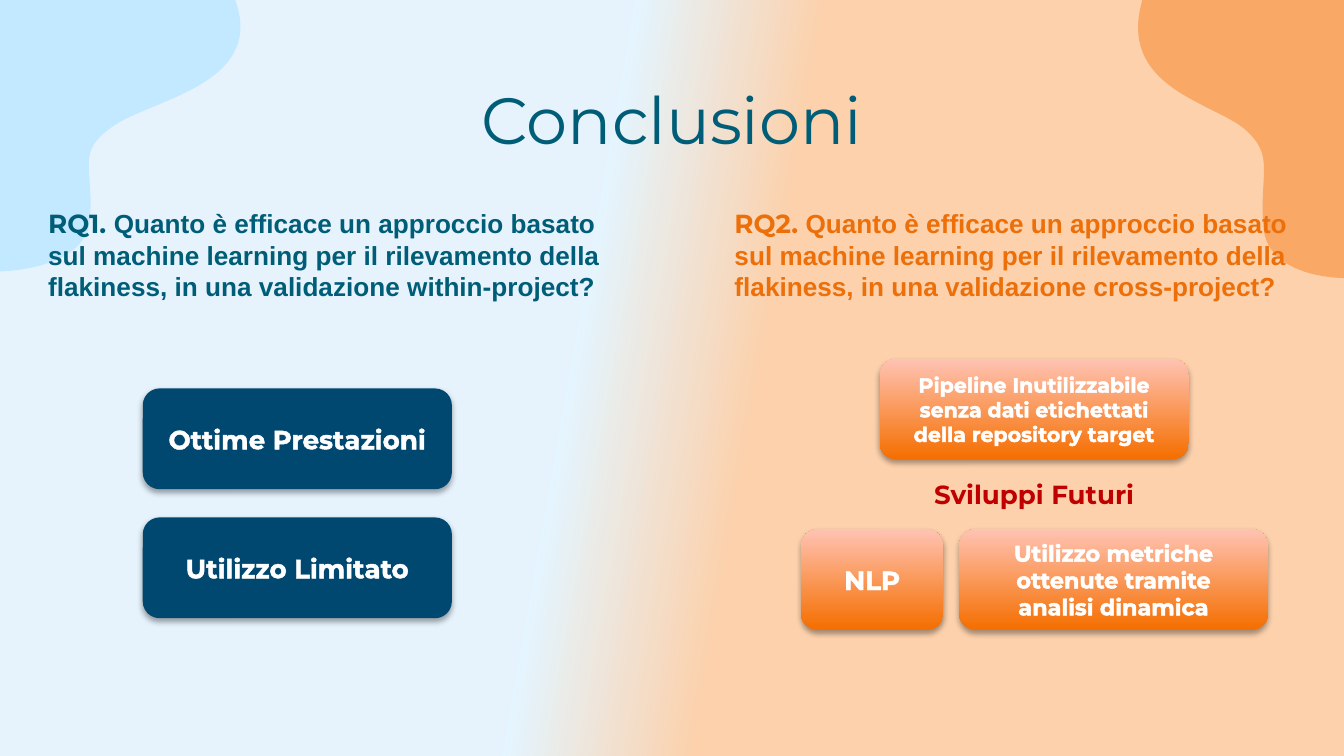
from lxml import etree
from pptx import Presentation
from pptx.dml.color import RGBColor
from pptx.enum.shapes import MSO_SHAPE
from pptx.enum.text import MSO_ANCHOR, MSO_AUTO_SIZE, PP_ALIGN
from pptx.oxml.ns import qn
from pptx.util import Pt

ROUNDED = MSO_SHAPE.ROUNDED_RECTANGLE
MIDDLE, TOP = MSO_ANCHOR.MIDDLE, MSO_ANCHOR.TOP
CENTER, LEFT = PP_ALIGN.CENTER, PP_ALIGN.LEFT
GROW, FIXED = MSO_AUTO_SIZE.SHAPE_TO_FIT_TEXT, MSO_AUTO_SIZE.NONE

WIDTH, HEIGHT = 720, 405
TEAL, NAVY, ORANGE, RED, WHITE = "005D77", "004870", "EC6F09", "C00000", "FFFFFF"
BACKDROP = [(8, "E6F3FD", 100), (43, "E4F5FF", 82), (56, "FCD1AC", 100), (94, "FCD1AC", 100)]
SUNSET = [(0, "F56E00", 100), (100, "FFC3B3", 100)]

BLOBS = [
    ("C2E9FF", (0, 0), (0, 145.4), [
        ((0.7, 145.4), (46.1, 144.7), (48.2, 117.4)),
        ((50.4, 89.3), (40.3, 81.4), (60.5, 67.7)),
        ((80.6, 53.3), (142.6, 45.4), (126, 0))]),
    ("F9A866", (720, 0), (720, 149), [
        ((719.3, 149), (678.2, 149), (676.8, 121)),
        ((674.6, 92.2), (683.3, 83.5), (666.7, 69.1)),
        ((649.4, 54.7), (598.3, 46.8), (612, 0))]),
]

QUESTION = ("Quanto è efficace un approccio basato sul machine learning per il "
            "rilevamento della flakiness, in una validazione {}-project?")
QUESTIONS = [("RQ1. ", "within", 18.7, TEAL), ("RQ2. ", "cross", 386.4, ORANGE)]

CARD_HEIGHT, CARD_WIDTH = 54, 165.6
CARDS = [
    ("Ottime Prestazioni", 14, 76.5, 208.1, CARD_WIDTH, NAVY),
    ("Utilizzo Limitato", 14, 76.5, 277.2, CARD_WIDTH, NAVY),
    ("Pipeline Inutilizzabile senza dati etichettati della repository target",
     11, 471.3, 192.2, CARD_WIDTH, SUNSET),
    ("NLP", 14, 429.1, 283.5, 76.3, SUNSET),
    ("Utilizzo metriche ottenute tramite analisi dinamica",
     12, 513.8, 283.5, CARD_WIDTH, SUNSET),
]


def color(value):
    return RGBColor.from_string(value)


def add_node(parent, tag, **attributes):
    node = etree.SubElement(parent, qn(tag))
    for name, value in attributes.items():
        node.set(name, str(value))
    return node


def add_color(parent, value, opacity=100):
    node = add_node(parent, "a:srgbClr", val=value)
    if opacity < 100:
        add_node(node, "a:alpha", val=opacity * 1000)


def set_gradient(properties, stops, angle):
    solid = properties.find(qn("a:solidFill"))
    gradient = etree.Element(qn("a:gradFill"), rotWithShape="1")
    stop_list = add_node(gradient, "a:gsLst")
    for position, value, opacity in stops:
        add_color(add_node(stop_list, "a:gs", pos=position * 1000), value, opacity)
    add_node(gradient, "a:lin", ang=angle * 60000, scaled=0)
    properties.replace(solid, gradient)


def paint(shape, value):
    shape.shadow.inherit = False
    shape.fill.solid()
    shape.fill.fore_color.rgb = color(value)
    shape.line.fill.background()


def write(frame, runs, align, **settings):
    for name, value in settings.items():
        setattr(frame, name, value)
    paragraph = frame.paragraphs[0]
    paragraph.alignment = align
    for text, font_name, size, bold, value in runs:
        run = paragraph.add_run()
        run.text = text
        for name, setting in {"name": font_name, "size": Pt(size), "bold": bold}.items():
            setattr(run.font, name, setting)
        run.font.color.rgb = color(value)
    return paragraph


def add_text(slide, box, runs, align, **settings):
    frame = slide.shapes.add_textbox(*map(Pt, box)).text_frame
    write(frame, runs, align, vertical_anchor=TOP, **settings)


def add_blob(slide, value, corner, start, curves):
    points = [start] + [point for curve in curves for point in curve]
    builder = slide.shapes.build_freeform(*map(Pt, corner), scale=1.0)
    builder.add_line_segments([(Pt(x), Pt(y)) for x, y in points], close=True)
    blob = builder.convert_to_shape()
    paint(blob, value)
    segments = list(blob.element.iter(qn("a:lnTo")))[1:]
    for first in range(0, len(segments), 3):
        curve = etree.Element(qn("a:cubicBezTo"))
        segments[first].addprevious(curve)
        for segment in segments[first:first + 3]:
            curve.append(segment[0])
            segment.getparent().remove(segment)


def add_card(slide, text, size, left, top, width, fill):
    card = slide.shapes.add_shape(ROUNDED, *map(Pt, (left, top, width, CARD_HEIGHT)))
    paint(card, NAVY)
    properties = card.element.spPr
    if fill is SUNSET:
        set_gradient(properties, SUNSET, 270)
    shadow = add_node(properties.find(qn("a:effectLst")), "a:outerShdw", blurRad=Pt(3.1),
                      dist=Pt(1.8), dir=90 * 60000, rotWithShape=0)
    add_color(shadow, "000000", 35)
    paragraph = write(card.text_frame, [(text, "Montserrat", size, True, WHITE)], CENTER,
                      word_wrap=True, vertical_anchor=MIDDLE)
    outline = etree.Element(qn("a:ln"), w=str(Pt(0.8)))
    add_color(add_node(outline, "a:solidFill"), WHITE)
    paragraph.runs[0].font._element.insert(0, outline)


def main():
    deck = Presentation()
    deck.slide_width, deck.slide_height = Pt(WIDTH), Pt(HEIGHT)
    slide = deck.slides.add_slide(deck.slide_layouts[6])
    slide.background.fill.solid()
    set_gradient(slide.element.find(".//" + qn("p:bgPr")), BACKDROP, 10)

    for blob in BLOBS:
        add_blob(slide, *blob)

    inset = Pt(7.2)
    add_text(slide, (56.5, 35.3, 607, 66.2), [("Conclusioni", "Montserrat", 35, False, TEAL)],
             CENTER, word_wrap=True, auto_size=FIXED, margin_top=inset, margin_bottom=inset)
    for label, scope, left, value in QUESTIONS:
        add_text(slide, (left, 107.7, 311, 58.3),
                 [(label, "Montserrat", 14, True, value),
                  (QUESTION.format(scope), "Arial", 14, True, value)],
                 LEFT, word_wrap=True, auto_size=GROW)
    for card in CARDS:
        add_card(slide, *card)
    add_text(slide, (492.5, 252.7, 123.1, 24.5),
             [("Sviluppi Futuri", "Montserrat", 14, True, RED)],
             CENTER, word_wrap=False, auto_size=GROW)
    deck.save("out.pptx")


if __name__ == "__main__":
    main()
